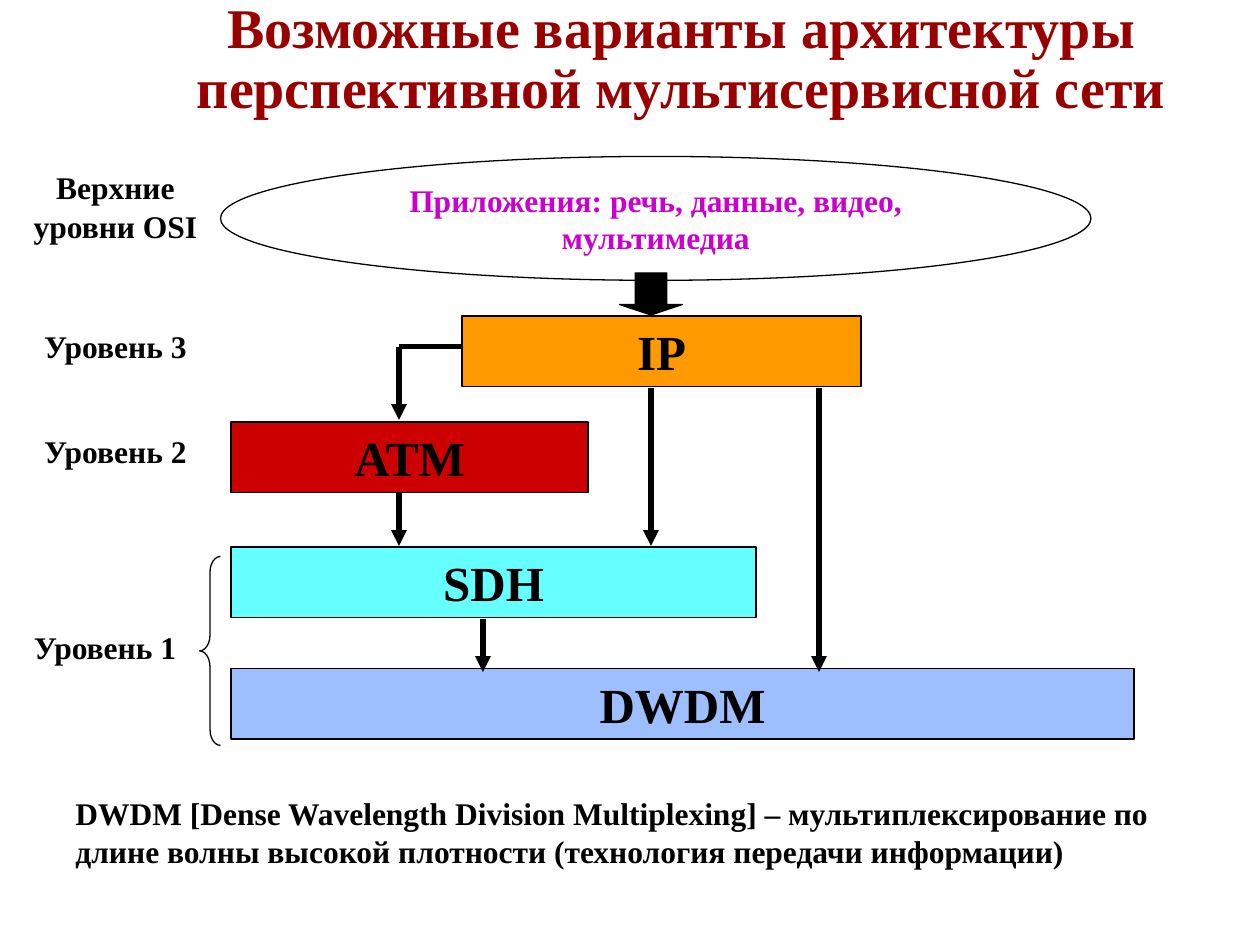
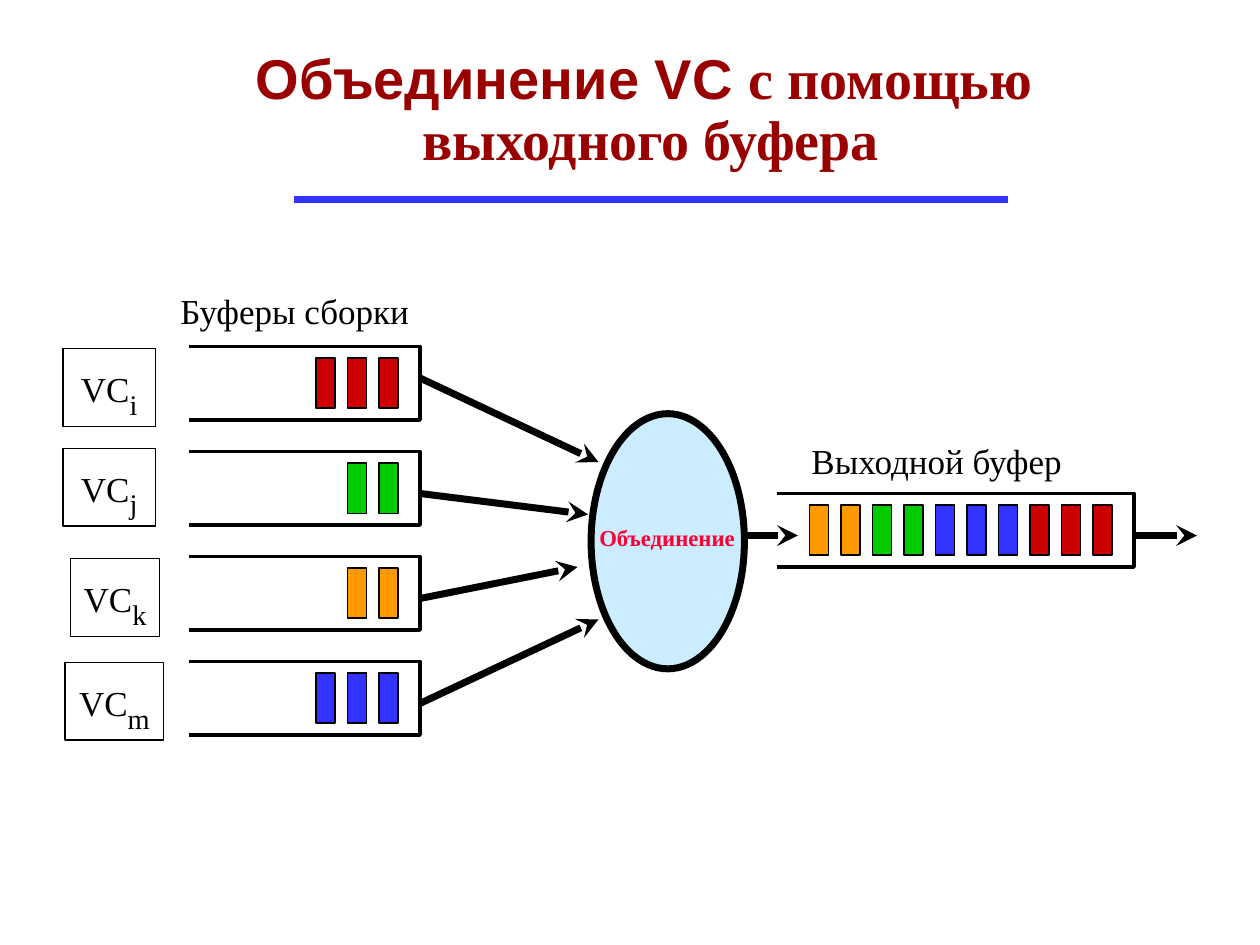
from lxml.etree import SubElement
from pptx import Presentation
from pptx.dml.color import RGBColor
from pptx.enum.shapes import MSO_CONNECTOR, MSO_SHAPE
from pptx.enum.text import MSO_ANCHOR, PP_ALIGN
from pptx.oxml.ns import qn
from pptx.util import Inches, Pt

BLACK = RGBColor(0x00, 0x00, 0x00)
WHITE = RGBColor(0xFF, 0xFF, 0xFF)
TITLE_RED = RGBColor(0x99, 0x00, 0x00)
RED = RGBColor(0xCC, 0x00, 0x00)
ORANGE = RGBColor(0xFF, 0x99, 0x00)
GREEN = RGBColor(0x00, 0xCC, 0x00)
BLUE = RGBColor(0x33, 0x33, 0xFF)
CYAN = RGBColor(0x66, 0xFF, 0xFF)
LIGHT_BLUE = RGBColor(0x9D, 0xBE, 0xFF)
PALE_BLUE = RGBColor(0xCC, 0xEC, 0xFF)
MAGENTA = RGBColor(0xCC, 0x00, 0xCC)
CRIMSON = RGBColor(0xFF, 0x00, 0x33)
SERIF = "Times New Roman"
SANS = "Arial"

presentation = Presentation()
presentation.slide_width = Inches(10)
presentation.slide_height = Inches(7.5)
GRID = presentation.slide_width // 120


def add_box(slide, kind, place, text="", size=18, color=BLACK, bold=True,
            align=PP_ALIGN.CENTER, fill=None, weight=0.75):
    left, top, width, height = [round(value * GRID) for value in place]
    if kind is None:
        shape = slide.shapes.add_textbox(left, top, width, height)
    else:
        shape = slide.shapes.add_shape(kind, left, top, width, height)
        shape.shadow.inherit = False
        shape.line.color.rgb = BLACK
        shape.line.width = Pt(weight)
        if fill is None:
            shape.fill.background()
        else:
            shape.fill.solid()
            shape.fill.fore_color.rgb = fill
        shape.text_frame.vertical_anchor = MSO_ANCHOR.MIDDLE
    if text:
        shape.text_frame.word_wrap = True
        shape.text_frame.text = text
        for paragraph in shape.text_frame.paragraphs:
            paragraph.alignment = align
            for run in paragraph.runs:
                run.font.name = SERIF
                run.font.size = Pt(size)
                run.font.bold = bold
                run.font.color.rgb = color
    return shape


def add_line(slide, start, end, weight, color=BLACK, arrowhead=None):
    points = [round(value * GRID) for value in (*start, *end)]
    connector = slide.shapes.add_connector(MSO_CONNECTOR.STRAIGHT, *points)
    connector.line.color.rgb = color
    connector.line.width = Pt(weight)
    properties = connector._element.spPr
    if arrowhead:
        SubElement(properties.find(qn("a:ln")), qn("a:tailEnd"), type=arrowhead)
    SubElement(properties, qn("a:effectLst"))


TITLES = [
    ((13.7, 0, 102.4, 11.5), 0,
     [("Возможные варианты архитектуры перспективной мультисервисной сети", SERIF)]),
    ((20, 4.3, 84, 12.6), 0.05,
     [("Объединение VC ", SANS), ("с помощью ", SERIF), ("\n", SERIF), ("выходного буфера", SERIF)]),
]
slides = []
for place, margin, pieces in TITLES:
    slide = presentation.slides.add_slide(presentation.slide_layouts[5])
    title = slide.shapes.title
    title.left, title.top, title.width, title.height = [round(value * GRID) for value in place]
    frame = title.text_frame
    frame.vertical_anchor = MSO_ANCHOR.TOP
    frame.margin_top = frame.margin_bottom = Inches(margin)
    frame.margin_left = frame.margin_right = Inches(0.05 + margin)
    paragraph = frame.paragraphs[0]
    paragraph.alignment = PP_ALIGN.CENTER
    paragraph.line_spacing = 0.9
    for text, font in pieces:
        if text == "\n":
            paragraph.add_line_break()
            continue
        run = paragraph.add_run()
        run.text = text
        run.font.name = font
        run.font.size = Pt(32)
        run.font.bold = True
        run.font.color.rgb = TITLE_RED
    slides.append(slide)
layers_slide, merge_slide = slides

add_box(layers_slide, MSO_SHAPE.OVAL, (21, 14.9, 82.9, 11.8),
        "Приложения: речь, данные, видео, мультимедиа", color=MAGENTA, fill=WHITE)

LAYERS = [
    ("IP", 44, 30.1, 38, ORANGE),
    ("ATM", 22, 40.2, 34, RED),
    ("SDH", 22, 52.1, 50, CYAN),
    ("DWDM", 22, 63.7, 86, LIGHT_BLUE),
]
for name, left, top, width, fill in LAYERS:
    add_box(layers_slide, MSO_SHAPE.RECTANGLE, (left, top, width, 6.7), name, size=28, fill=fill)

LEVELS = [
    ("Верхние\nуровни OSI", 17, 18, 0.5),
    ("Уровень 3", 32.1, 18, 0.5),
    ("Уровень 2", 42.1, 18, 0.5),
    ("Уровень 1", 59.2, 16, 1.0),
]
for text, top, width, spacing in LEVELS:
    label = add_box(layers_slide, None, (2, top, width, 3), text)
    for index, paragraph in enumerate(label.text_frame.paragraphs):
        paragraph.line_spacing = spacing
        if index:
            paragraph.space_before = Pt(11.2)

brace = add_box(layers_slide, MSO_SHAPE.LEFT_BRACE, (19, 53, 2, 18))
brace.adjustments[0] = 0.75
block_arrow = add_box(layers_slide, MSO_SHAPE.DOWN_ARROW, (59, 26, 6, 4), fill=BLACK)
block_arrow.adjustments[1] = 0.25

add_line(layers_slide, (44, 33), (38, 33), 3)
for column, top, bottom in [(38, 33, 40), (38, 47, 52), (62, 37, 52), (46, 59, 64), (78, 37, 64)]:
    add_line(layers_slide, (column, top), (column, bottom), 3, arrowhead="triangle")

add_box(layers_slide, None, (6, 75, 106, 8.3),
        "DWDM [Dense Wavelength Division Multiplexing] – мультиплексирование по "
        "длине волны высокой плотности (технология передачи информации)", align=PP_ALIGN.LEFT)

add_line(merge_slide, (28, 19), (96, 19), 4.5, color=BLUE)

QUEUES = [
    (18, 33, 22, [RED] * 3),
    (18, 43, 22, [GREEN] * 2),
    (18, 53, 22, [ORANGE] * 2),
    (18, 63, 22, [BLUE] * 3),
    (74, 47, 34, [RED] * 3 + [BLUE] * 3 + [GREEN] * 2 + [ORANGE] * 2),
]
for left, top, width, packets in QUEUES:
    right, bottom = left + width, top + 7
    builder = merge_slide.shapes.build_freeform(left, top, scale=GRID)
    builder.add_line_segments([(right, top), (right, bottom), (left, bottom)], close=False)
    queue = builder.convert_to_shape()
    queue.shadow.inherit = False
    queue.fill.background()
    queue.line.color.rgb = BLACK
    queue.line.width = Pt(2)
    for position, fill in enumerate(packets):
        add_box(merge_slide, MSO_SHAPE.RECTANGLE,
                (right - 3.9 - 3 * position, top + 1.1, 1.8, 4.8), fill=fill, weight=1)

add_box(merge_slide, MSO_SHAPE.OVAL, (56.3, 39.4, 14.6, 24.3), fill=PALE_BLUE, weight=4)

FLOWS = [
    ((40, 36), (57, 44)),
    ((40, 47), (56, 49)),
    ((40, 57), (55, 54)),
    ((40, 67), (57, 59)),
    ((71, 51), (76, 51)),
    ((108, 51), (114, 51)),
]
for start, end in FLOWS:
    add_line(merge_slide, start, end, 4, arrowhead="stealth")

CAPTIONS = [
    ("Объединение", (55.9, 49.3, 15.4, 3.8), 13, CRIMSON, True),
    ("Буферы сборки", (16, 27, 24.4, 5.2), 20, BLACK, False),
    ("Выходной буфер", (76.1, 41.3, 26.8, 5.2), 20, BLACK, False),
]
for text, place, size, color, bold in CAPTIONS:
    caption = add_box(merge_slide, None, place, text, size, color, bold, PP_ALIGN.LEFT)
    caption.text_frame.word_wrap = False

CHANNELS = [
    ("i", 6, 33.2, 8.8),
    ("j", 6, 42.7, 8.8),
    ("k", 6.7, 53.2, 8.5),
    ("m", 6.2, 63.1, 9.4),
]
for index, left, top, width in CHANNELS:
    channel = add_box(merge_slide, MSO_SHAPE.RECTANGLE, (left, top, width, 7.4),
                      "VC", size=20, bold=False, fill=WHITE)
    channel.text_frame.word_wrap = False
    subscript = channel.text_frame.paragraphs[0].add_run()
    subscript.text = index
    subscript.font.name = SERIF
    subscript.font.size = Pt(28)
    subscript.font.color.rgb = BLACK
    subscript.font._element.set("baseline", "-25000") if hasattr(subscript.font, "_element") else \
        subscript._r.get_or_add_rPr().set("baseline", "-25000")

presentation.save("out.pptx")
